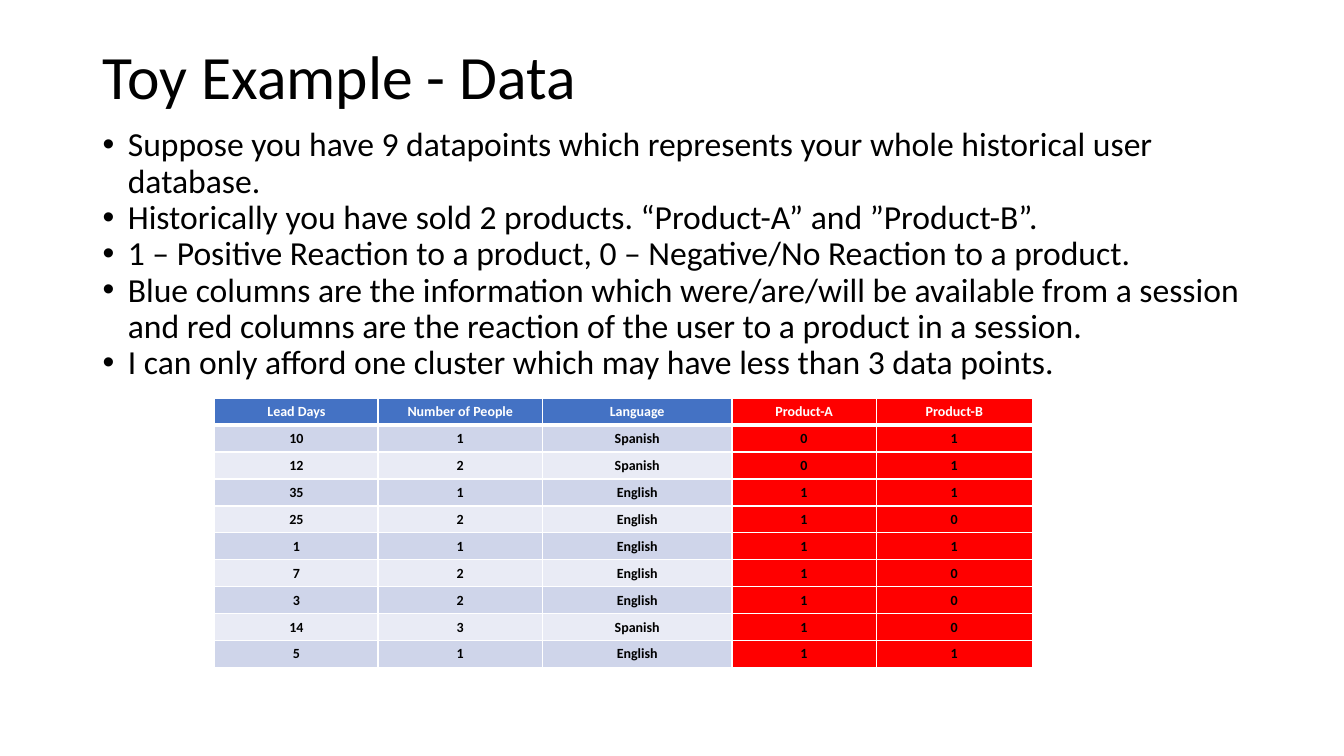
from lxml.etree import SubElement
from pptx import Presentation
from pptx.dml.color import RGBColor
from pptx.enum.text import MSO_ANCHOR as Anchor, PP_ALIGN as Align
from pptx.oxml.ns import qn
from pptx.util import Inches, Pt

BLACK, WHITE, BLUE, RED = "000000", "FFFFFF", "4472C4", "FF0000"
BANDS = ("CFD5EA", "E9EBF5")

POINTS = [
    "Suppose you have 9 datapoints which represents your whole historical user database.",
    "Historically you have sold 2 products. “Product-A” and ”Product-B”.",
    "1 – Positive Reaction to a product, 0 – Negative/No Reaction to a product.",
    "Blue columns are the information which were/are/will be available from a session "
    "and red columns are the reaction of the user to a product in a session.",
    "I can only afford one cluster which may have less than 3 data points.",
]

SESSIONS = [
    ("Lead Days", "Number of People", "Language", "Product-A", "Product-B"),
    (10, 1, "Spanish", 0, 1),
    (12, 2, "Spanish", 0, 1),
    (35, 1, "English", 1, 1),
    (25, 2, "English", 1, 0),
    (1, 1, "English", 1, 1),
    (7, 2, "English", 1, 0),
    (3, 2, "English", 1, 0),
    (14, 3, "Spanish", 1, 0),
    (5, 1, "English", 1, 1),
]
COLUMN_WIDTHS = (1.62, 1.63, 1.88, 1.43, 1.55)
FIRST_PRODUCT_COLUMN = 3


def color(hex_string):
    return RGBColor.from_string(hex_string)


class SlideBuilder:
    def __init__(self, slide, font="Calibri"):
        self.slide = slide
        self.font = font

    def style(self, paragraph, size, hex_string=BLACK, bold=False, align=Align.LEFT):
        paragraph.alignment = align
        for run in paragraph.runs:
            run.font.name = self.font
            run.font.size = Pt(size)
            run.font.bold = bold
            run.font.color.rgb = color(hex_string)

    def title(self, text, left, top, width, height):
        heading = self.slide.shapes.title
        heading.left, heading.top = Inches(left), Inches(top)
        heading.width, heading.height = Inches(width), Inches(height)
        frame = heading.text_frame
        frame.text = text
        frame.vertical_anchor = Anchor.MIDDLE
        frame.paragraphs[0].line_spacing = 0.9
        self.style(frame.paragraphs[0], 44)

    def bullets(self, points, left, top, width, height):
        body = self.slide.shapes.add_textbox(
            Inches(left), Inches(top), Inches(width), Inches(height))
        frame = body.text_frame
        frame.word_wrap = True
        frame.text = "\n".join(points)
        for paragraph in frame.paragraphs:
            paragraph.line_spacing = 0.9
            paragraph.space_before = Pt(0)
            self.style(paragraph, 24)
            properties = paragraph._p.get_or_add_pPr()
            properties.set("marL", str(Inches(0.25)))
            properties.set("indent", str(-Inches(0.25)))
            SubElement(properties, qn("a:buFont"), typeface="Arial")
            SubElement(properties, qn("a:buChar"), char="•")

    def borders(self, cell, top, bottom):
        properties = cell._tc.get_or_add_tcPr()
        for side, points in (("L", 1), ("R", 1), ("T", top), ("B", bottom)):
            line = SubElement(properties, qn(f"a:ln{side}"), w=str(Pt(points)))
            fill = SubElement(line, qn("a:solidFill"))
            SubElement(fill, qn("a:srgbClr"), val=WHITE)

    def table(self, rows, widths, left, top, height):
        grid = self.slide.shapes.add_table(
            len(rows), len(widths), Inches(left), Inches(top),
            Inches(sum(widths)), Inches(height)).table
        for column, width in zip(grid.columns, widths):
            column.width = Inches(width)
        for r, values in enumerate(rows):
            is_header = r == 0
            for c, value in enumerate(values):
                cell = grid.cell(r, c)
                cell.text = str(value)
                self.style(cell.text_frame.paragraphs[0], 10,
                           WHITE if is_header else BLACK, True, Align.CENTER)
                self.borders(cell, 3 if r == 1 else 1, 3 if is_header else 1)
                if c >= FIRST_PRODUCT_COLUMN:
                    background = RED
                else:
                    background = BLUE if is_header else BANDS[(r - 1) % 2]
                cell.fill.solid()
                cell.fill.fore_color.rgb = color(background)


def main():
    deck = Presentation()
    deck.slide_width, deck.slide_height = Inches(13.33), Inches(7.5)
    title_only = deck.slide_layouts[5]
    builder = SlideBuilder(deck.slides.add_slide(title_only))

    # Heading and explanation
    builder.title("Toy Example - Data", 0.92, 0.26, 11.5, 1.06)
    builder.bullets(POINTS, 0.92, 1.22, 11.5, 5.47)

    # Session data: blue for known information, red for reactions
    builder.table(SESSIONS, COLUMN_WIDTHS, 2.13, 3.95, 2.67)

    deck.save("out.pptx")


if __name__ == "__main__":
    main()
